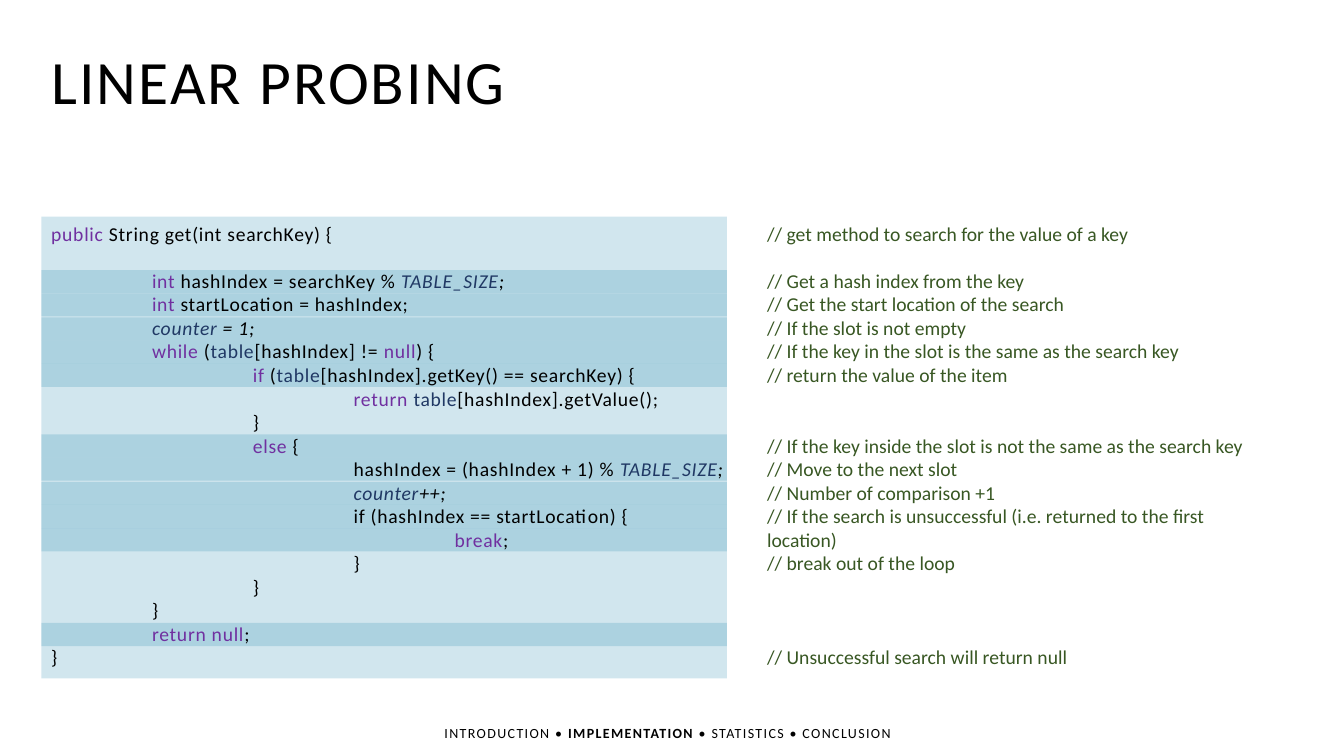
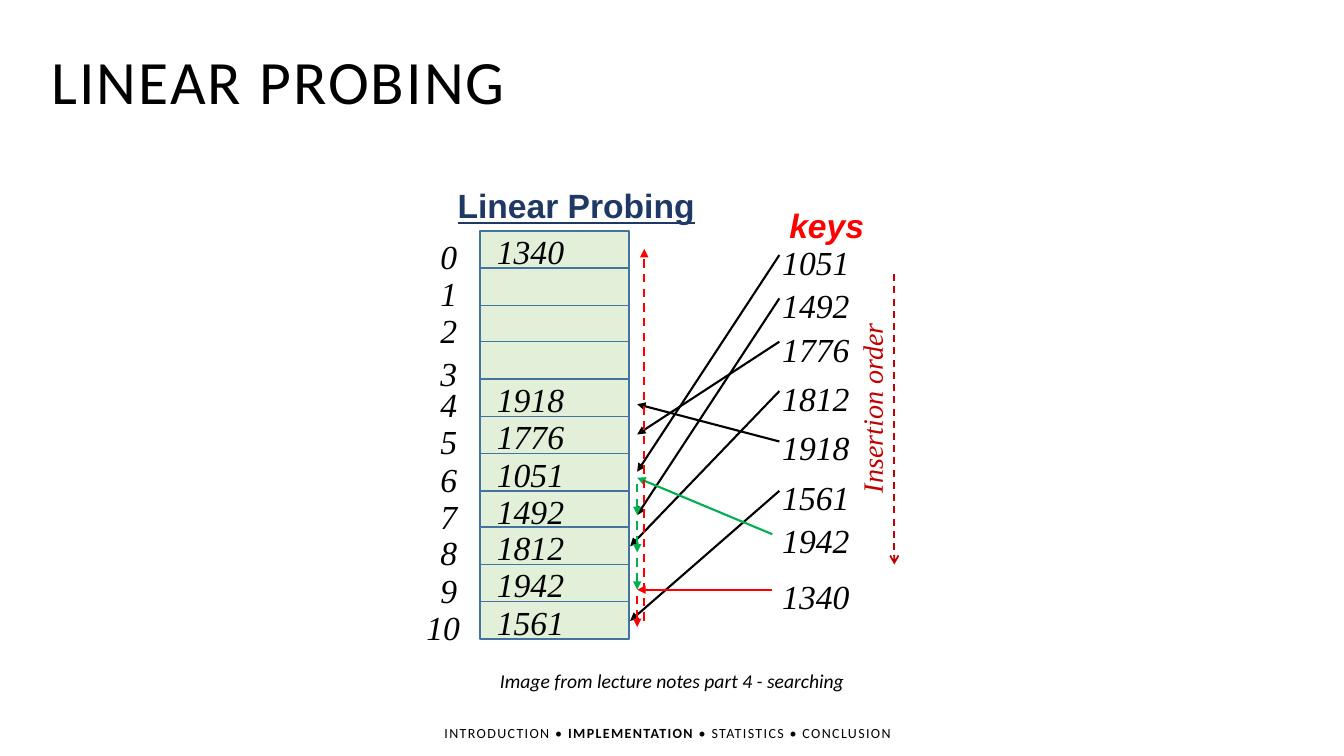
from collections import namedtuple

from lxml import etree
from pptx import Presentation
from pptx.dml.color import RGBColor
from pptx.enum.dml import MSO_LINE
from pptx.enum.shapes import MSO_CONNECTOR, MSO_SHAPE
from pptx.oxml.ns import qn
from pptx.util import Pt

PX = 9144
INCH = 100
RECT = MSO_SHAPE.RECTANGLE
STRAIGHT = MSO_CONNECTOR.STRAIGHT
DASH = MSO_LINE.DASH

BLACK, NAVY, PURPLE, COMMENT = "000000", "203864", "7030A0", "385723"
BLUE, CELL, CELL_EDGE = "1983AC", "E2F0D9", "43739E"
RED, GREEN, DARK_RED = "FF0000", "00B050", "C00000"

Para = namedtuple("Para", "runs level gap", defaults=(0, 0))
Font = namedtuple("Font", "name size color spacing bold italic underline",
                  defaults=(BLACK, 0, False, False, False))

TITLE = Font("Calibri", 44, spacing=150)
FOOTER = Font("Calibri", 10, spacing=100)
NOTE = Font("Calibri", 14, COMMENT)
PLAIN = Font("Calibri", 14, spacing=50)
KEYWORD = PLAIN._replace(color=PURPLE)
FIELD = PLAIN._replace(color=NAVY)
STATIC = FIELD._replace(italic=True)
SLANTED = PLAIN._replace(italic=True)
CAPTION = Font("Calibri", 14, italic=True)
NUMBER = Font("Times New Roman", 24, italic=True)
ORDER = NUMBER._replace(size=20, color=DARK_RED)
HEADING = Font("Arial", 24, NAVY, bold=True, underline=True)
KEYS = Font("Arial", 24, RED, bold=True, italic=True)

SECTIONS = ["INTRODUCTION", "IMPLEMENTATION", "STATISTICS", "CONCLUSION"]
BLANK_LINE = 16.8
LINE_STEP = 23.3

CODE = [
    Para([("public ", KEYWORD), ("String get(int searchKey) {", PLAIN)]),
    Para([("int ", KEYWORD), ("hashIndex = searchKey % ", PLAIN),
          ("TABLE_SIZE", STATIC), (";", SLANTED)], 1, 1),
    Para([("int ", KEYWORD), ("startLocation = hashIndex;", PLAIN)], 1),
    Para([("counter", STATIC), (" = 1;", SLANTED)], 1),
    Para([("while ", KEYWORD), ("(", PLAIN), ("table", FIELD),
          ("[hashIndex] != ", PLAIN), ("null", KEYWORD), (") {", PLAIN)], 1),
    Para([("if ", KEYWORD), ("(", PLAIN), ("table", FIELD),
          ("[hashIndex].getKey() == searchKey) {", PLAIN)], 2),
    Para([("return ", KEYWORD), ("table", FIELD),
          ("[hashIndex].getValue();", PLAIN)], 3),
    Para([("}", PLAIN)], 2),
    Para([("else", KEYWORD), (" {", PLAIN)], 2),
    Para([("hashIndex = (hashIndex + 1) % ", PLAIN),
          ("TABLE_SIZE", STATIC), (";", SLANTED)], 3),
    Para([("counter", STATIC), ("++;", SLANTED)], 3),
    Para([("if (hashIndex == startLocation) {", PLAIN)], 3),
    Para([("break", KEYWORD), (";", PLAIN)], 4),
    Para([("}", PLAIN)], 3),
    Para([("}", PLAIN)], 2),
    Para([("}", PLAIN)], 1),
    Para([("return null", KEYWORD), (";", PLAIN)], 1),
    Para([("}", PLAIN)]),
]
MARKED_ROWS = [2, 3, 4, 5, 6, 9, 10, 11, 12, 13, 17]

COMMENTS = [
    ("// get method to search for the value of a key", 0),
    ("// Get a hash index from the key", 1),
    ("// Get the start location of the search", 0),
    ("// If the slot is not empty", 0),
    ("// If the key in the slot is the same as the search key", 0),
    ("// return the value of the item", 0),
    ("// If the key inside the slot is not the same as the search key", 2),
    ("// Move to the next slot", 0),
    ("// Number of comparison +1", 0),
    ("// If the search is unsuccessful (i.e. returned to the first location)", 0),
    ("// break out of the loop", 0),
    ("// Unsuccessful search will return null", 3),
]

SLOTS = ["1340", "", "", "", "1918", "1776", "1051", "1492", "1812", "1942", "1561"]
INSERTED = [("1051", 235), ("1492", 278), ("1776", 321), ("1812", 370),
            ("1918", 419), ("1561", 468), ("1942", 511), ("1340", 566)]
PROBES = [
    (773, 253, 632, 468, BLACK), (773, 296, 632, 511, BLACK),
    (773, 339, 632, 431, BLACK), (773, 388, 625, 542, BLACK),
    (773, 438, 632, 401, BLACK), (773, 487, 625, 616, BLACK),
    (766, 530, 632, 474, GREEN), (766, 585, 632, 585, RED),
]
STEPS = [
    (632, 480, 632, 511, GREEN), (632, 517, 632, 548, GREEN),
    (632, 554, 632, 585, GREEN), (632, 591, 632, 622, RED),
    (639, 616, 639, 247, RED),
]


def rgb(value):
    """Turn a hex string into a colour."""
    return RGBColor.from_string(value)


class Deck:
    """Hold the shared style and the current slide."""

    def __init__(self):
        """Start an empty deck."""
        self.prs = Presentation()
        self.prs.slide_width = 1333 * PX
        self.prs.slide_height = 750 * PX
        self.s = None

    def slide(self, title, section):
        """Add a slide with its title and section footer."""
        self.s = self.prs.slides.add_slide(self.prs.slide_layouts[6])
        self.label(41, 38, 477, 84, title, TITLE)
        before, after = " • ".join(SECTIONS).split(section)
        self.text(431, 714, 471, 27, [Para([
            (before, FOOTER), (section, FOOTER._replace(bold=True)),
            (after, FOOTER)])])

    def text(self, x, y, w, h, paras, rotation=0):
        """Add a text box made of paragraphs of styled runs."""
        sp = self.s.shapes.add_textbox(x * PX, y * PX, w * PX, h * PX)
        sp.rotation = rotation
        tf = sp.text_frame
        tf.word_wrap = True
        for i, para in enumerate(paras):
            p = tf.add_paragraph() if i else tf.paragraphs[0]
            if para.level:
                p._p.get_or_add_pPr().set("marL", str(para.level * INCH * PX))
            if para.gap:
                p.space_before = Pt(para.gap * BLANK_LINE)
            for words, font in para.runs:
                r = p.add_run()
                r.text = words
                r.font.name = font.name
                r.font.size = Pt(font.size)
                r.font.color.rgb = rgb(font.color)
                r.font.bold = font.bold
                r.font.italic = font.italic
                r.font.underline = font.underline
                if font.spacing:
                    r._r.get_or_add_rPr().set("spc", str(font.spacing))

    def label(self, x, y, w, h, words, font, rotation=0):
        """Add a text box with a single run."""
        self.text(x, y, w, h, [Para([(words, font)])], rotation)

    def rect(self, x, y, w, h, fill, line=None, opacity=100):
        """Add a filled rectangle with an optional outline."""
        sp = self.s.shapes.add_shape(RECT, x * PX, y * PX, w * PX, h * PX)
        sp.shadow.inherit = False
        sp.fill.solid()
        sp.fill.fore_color.rgb = rgb(fill)
        if opacity < 100:
            color = sp._element.spPr.find(".//" + qn("a:srgbClr"))
            etree.SubElement(color, qn("a:alpha"), val=str(opacity * 1000))
        if line:
            sp.line.color.rgb = rgb(line)
            sp.line.width = Pt(1)
        else:
            sp.line.fill.background()

    def arrow(self, x1, y1, x2, y2, color, width=1.5, dashed=False, head="triangle"):
        """Add a straight arrow."""
        sp = self.s.shapes.add_connector(STRAIGHT, x1 * PX, y1 * PX, x2 * PX, y2 * PX)
        sp.line.color.rgb = rgb(color)
        sp.line.width = Pt(width)
        if dashed:
            sp.line.dash_style = DASH
        etree.SubElement(sp.line._get_or_add_ln(), qn("a:tailEnd"), type=head)
        etree.SubElement(sp._element.spPr, qn("a:effectLst"))


def code_slide(deck):
    """Build the slide with the commented search method."""
    deck.slide("LINEAR PROBING", "IMPLEMENTATION")
    deck.text(751, 215, 524, 434,
              [Para([(words, NOTE)], 0, gap) for words, gap in COMMENTS])
    deck.rect(41, 215, 680, 458, BLUE, opacity=20)
    for row in MARKED_ROWS:
        deck.rect(41, round(221.4 + row * LINE_STEP), 680, 23, BLUE, opacity=20)
    deck.text(41, 215, 700, 458, CODE)


def diagram_slide(deck):
    """Build the slide with the hash table diagram."""
    deck.slide("LINEAR PROBING", "IMPLEMENTATION")
    tops = [round(229 + i * 36.8) for i in range(len(SLOTS))]
    for top in tops:
        deck.rect(476, top, 148, 37, CELL, CELL_EDGE)
    for i, (top, key) in enumerate(zip(tops, SLOTS)):
        left = 413 if i == 10 else 427
        deck.label(left, top + (6 if i == 3 else 0), 476 - left, 30, str(i), NUMBER)
        if key:
            deck.label(483, top - 5, 134, 37, key, NUMBER)
    for key, top in INSERTED:
        deck.label(766, top, 92, 37, key, NUMBER)
    deck.label(773, 198, 114, 50, "keys", KEYS)
    deck.label(763, 375, 204, 44, "Insertion order", ORDER, 270)
    deck.arrow(887, 272, 887, 560, DARK_RED, 1.25, True, "arrow")
    for probe in PROBES:
        deck.arrow(*probe)
    for step in STEPS:
        deck.arrow(*step, dashed=True)
    deck.label(444, 179, 285, 50, "Linear Probing", HEADING)
    deck.label(486, 659, 372, 34, "Image from lecture notes part 4 - searching", CAPTION)


def main():
    """Build and save the deck."""
    deck = Deck()
    code_slide(deck)
    diagram_slide(deck)
    deck.prs.save("out.pptx")


if __name__ == "__main__":
    main()
